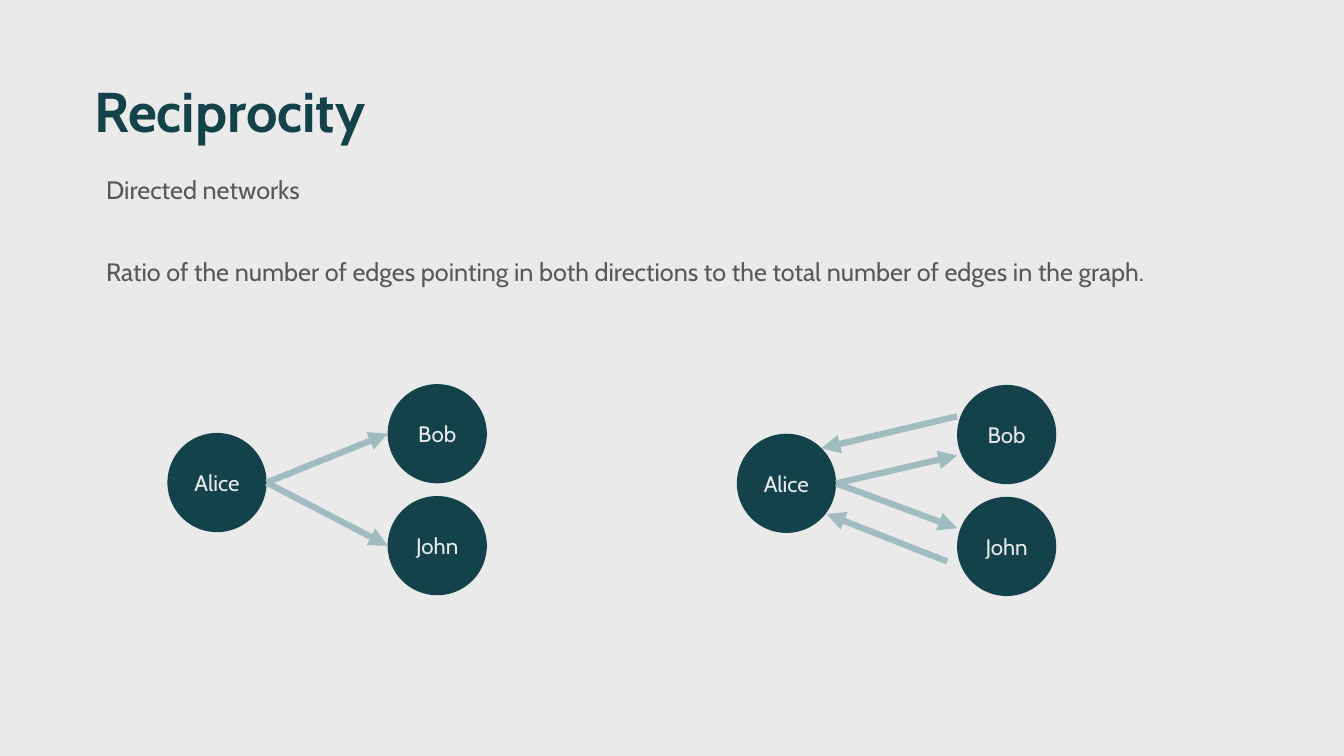
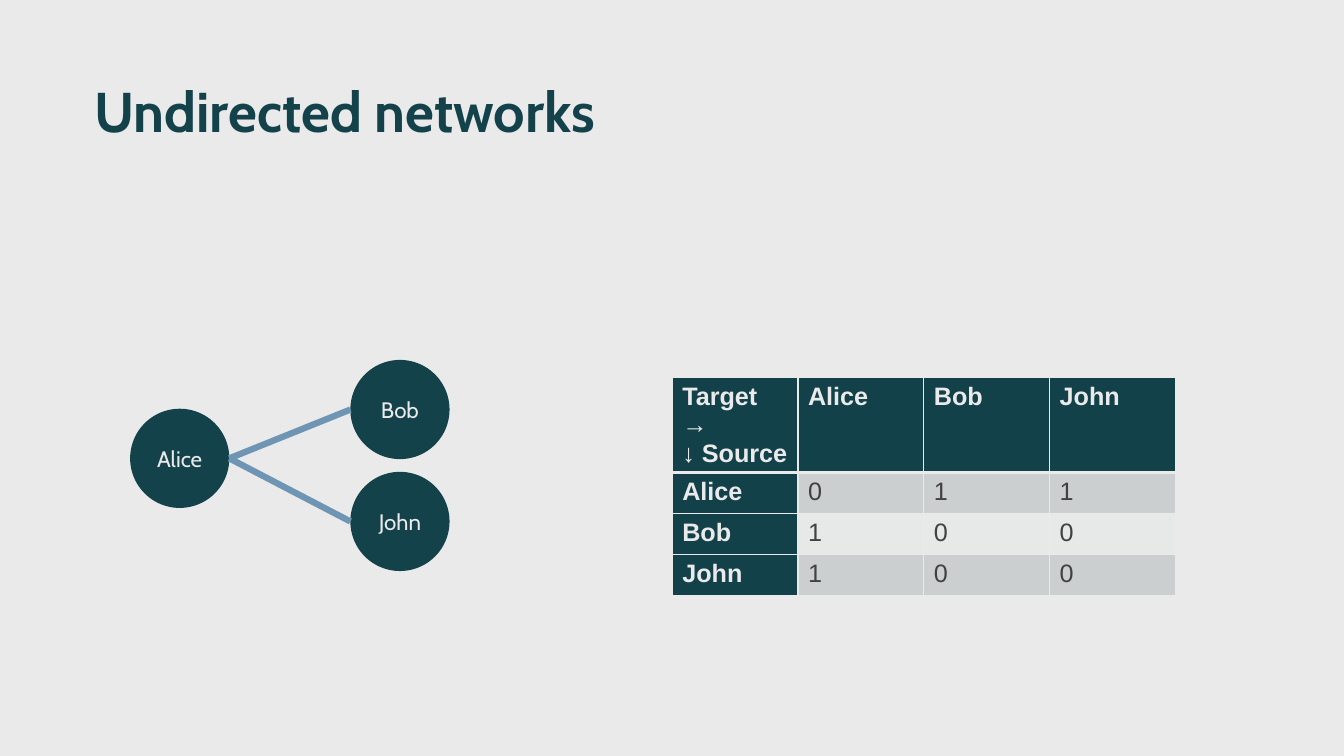
import pptx
import pptx.util
import pptx.dml.color
import pptx.enum.shapes
import pptx.enum.text
import pptx.oxml
import pptx.oxml.ns
from pptx.util import Cm, Pt

COLORS = {
    "background": "EAEAEA",
    "dark": "14424A",
    "header": "13414A",
    "body": "585858",
    "arrow": "A1BCC0",
    "link": "6E96B4",
    "cell": "424242",
    "odd_row": "CCCFD0",
    "even_row": "E7E9E9",
}
RGB = {name: pptx.dml.color.RGBColor.from_string(value) for name, value in COLORS.items()}
HEADING_FONT = "Cabin"
TABLE_FONT = "Arial"
NAMESPACE = pptx.oxml.ns.nsdecls("a")
LEFT = pptx.enum.text.PP_ALIGN.LEFT
TOP = pptx.enum.text.MSO_ANCHOR.TOP

# Network geometry in cm, measured from the corner of the network
DIAMETER = 2.5
NODES = {"Alice": (0, 1.23), "Bob": (5.55, 0), "John": (5.55, 2.82)}
ALICE_PORT = (2.5, 2.48)
BOB_PORT = (5.55, 1.25)
JOHN_PORT = (5.55, 4.07)
ONE_WAY = [(ALICE_PORT, JOHN_PORT), (ALICE_PORT, BOB_PORT)]
TWO_WAY = [
    (ALICE_PORT, (5.55, 3.61)),
    (ALICE_PORT, (5.55, 1.78)),
    ((5.55, 0.79), (2.13, 1.6)),
    ((5.3, 4.45), (2.26, 3.25)),
]


def style_text(paragraph, size, color, font=HEADING_FONT, bold=False):
    for run in paragraph.runs:
        run.font.name = font
        run.font.size = Pt(size)
        run.font.bold = bold
        run.font.color.rgb = RGB[color]


def add_network(slide, left, top, edges, color, arrows):
    group = slide.shapes.add_group_shape()
    for name, (x, y) in NODES.items():
        node = group.shapes.add_shape(
            pptx.enum.shapes.MSO_SHAPE.OVAL,
            Cm(left + x), Cm(top + y), Cm(DIAMETER), Cm(DIAMETER))
        node.shadow.inherit = False
        node.fill.solid()
        node.fill.fore_color.rgb = RGB["dark"]
        node.line.fill.background()
        node.text_frame.text = name
        node.text_frame.word_wrap = False
        node.text_frame.vertical_anchor = pptx.enum.text.MSO_ANCHOR.MIDDLE
        paragraph = node.text_frame.paragraphs[0]
        paragraph.alignment = pptx.enum.text.PP_ALIGN.CENTER
        style_text(paragraph, 16, "background")
    for (start_x, start_y), (end_x, end_y) in edges:
        edge = group.shapes.add_connector(
            pptx.enum.shapes.MSO_CONNECTOR.STRAIGHT,
            Cm(left + start_x), Cm(top + start_y), Cm(left + end_x), Cm(top + end_y))
        edge.line.color.rgb = RGB[color]
        edge.line.width = Pt(4.5)
        if arrows:
            edge.line._get_or_add_ln().append(
                pptx.oxml.parse_xml(f'<a:tailEnd {NAMESPACE} type="triangle"/>'))
        edge._element.spPr.append(pptx.oxml.parse_xml(f"<a:effectLst {NAMESPACE}/>"))


# Presentation and shared background
presentation = pptx.Presentation()
presentation.slide_width = Cm(33.87)
presentation.slide_height = Cm(19.05)
background = presentation.slide_master.background.fill
background.solid()
background.fore_color.rgb = RGB["background"]

# Slides with their titles: text, layout, title width, title height
slides = []
for text, layout, width, height in [
    ("Reciprocity", 1, 27.53, 2.08),
    ("Undirected networks", 5, 14.81, 3.3),
]:
    slide = presentation.slides.add_slide(presentation.slide_layouts[layout])
    title = slide.shapes.title
    title.left, title.top, title.width, title.height = Cm(2.12), Cm(1.99), Cm(width), Cm(height)
    title.text_frame.text = text
    title.text_frame.vertical_anchor = TOP
    title.text_frame.auto_size = pptx.enum.text.MSO_AUTO_SIZE.NONE
    paragraph = title.text_frame.paragraphs[0]
    paragraph.alignment = LEFT
    paragraph.line_spacing = 0.9
    style_text(paragraph, 40, "dark", bold=True)
    slides.append(slide)
reciprocity, undirected = slides

# Reciprocity: definition
body = reciprocity.placeholders[1]
body.left, body.top, body.width, body.height = Cm(2.42), Cm(4.34), Cm(28.68), Cm(5.21)
body.text_frame.text = (
    "Directed networks\n"
    "Ratio of the number of edges pointing in both directions "
    "to the total number of edges in the graph.")
body.text_frame.vertical_anchor = TOP
body.text_frame.auto_size = pptx.enum.text.MSO_AUTO_SIZE.NONE
for paragraph, space_before in zip(body.text_frame.paragraphs, (0, 39.5)):
    properties = paragraph._p.get_or_add_pPr()
    properties.set("marL", "0")
    properties.set("indent", "0")
    properties.append(pptx.oxml.parse_xml(f"<a:buNone {NAMESPACE}/>"))
    paragraph.line_spacing = 0.9
    paragraph.space_before = Pt(space_before)
    style_text(paragraph, 18, "body")

# Networks
add_network(reciprocity, 4.22, 9.68, ONE_WAY, "arrow", True)
add_network(reciprocity, 18.57, 9.7, TWO_WAY, "arrow", True)
add_network(undirected, 3.28, 9.07, ONE_WAY, "link", False)

# Undirected networks: adjacency matrix
ROWS = [
    ["Target →\n↓ Source", "Alice", "Bob", "John"],
    ["Alice", "0", "1", "1"],
    ["Bob", "1", "0", "0"],
    ["John", "1", "0", "0"],
]
table = undirected.shapes.add_table(
    len(ROWS), len(ROWS[0]), Cm(16.94), Cm(9.52), Cm(12.68), Cm(4.84)).table
table.horz_banding = False
for column in table.columns:
    column.width = Cm(3.17)
for row_index, values in enumerate(ROWS):
    table.rows[row_index].height = Cm(1.03 if row_index else 1.75)
    for column_index, value in enumerate(values):
        cell = table.cell(row_index, column_index)
        is_header = row_index == 0 or column_index == 0
        cell.text_frame.text = value
        for paragraph in cell.text_frame.paragraphs:
            style_text(paragraph, 18, "background" if is_header else "cell",
                       TABLE_FONT, is_header)
        # Thin borders, with a thick rule under the header row
        borders = {"L": 1, "R": 1,
                   "T": 3 if row_index == 1 else 1,
                   "B": 3 if row_index == 0 else 1}
        for side, points in borders.items():
            cell._tc.get_or_add_tcPr().append(pptx.oxml.parse_xml(
                f'<a:ln{side} {NAMESPACE} w="{Pt(points)}"><a:solidFill>'
                f'<a:srgbClr val="{COLORS["background"]}"/></a:solidFill></a:ln{side}>'))
        cell.fill.solid()
        band = "odd_row" if row_index % 2 else "even_row"
        cell.fill.fore_color.rgb = RGB["header" if is_header else band]

presentation.save("out.pptx")
